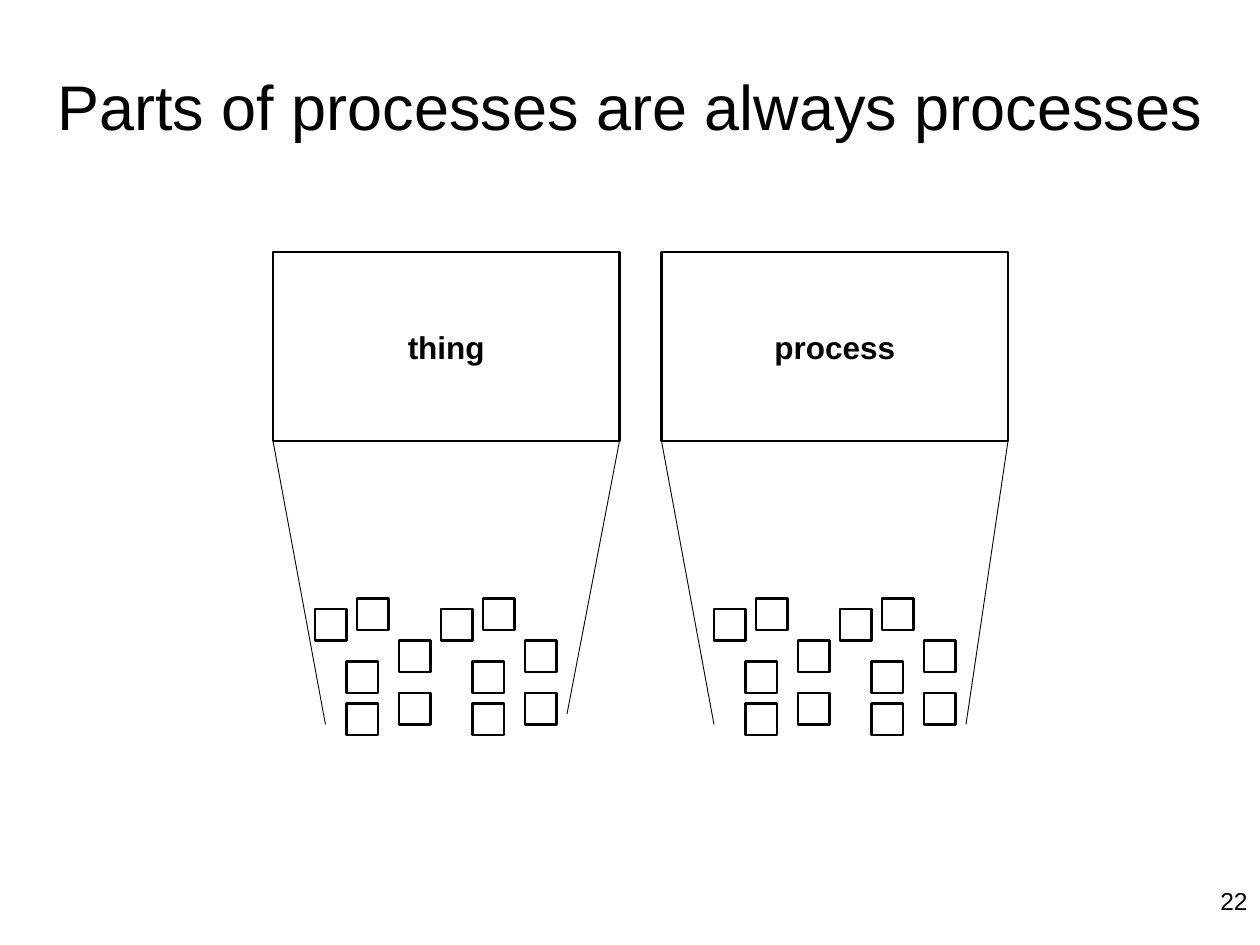
from lxml import etree
from pptx import Presentation
from pptx.dml.color import RGBColor
from pptx.enum.shapes import MSO_CONNECTOR, MSO_SHAPE
from pptx.enum.text import MSO_ANCHOR, PP_ALIGN
from pptx.oxml.ns import qn
from pptx.util import Pt

PX = 9525
BLACK, WHITE = "000000", "FFFFFF"
FONT = "Arial"
RECTANGLE, STRAIGHT = MSO_SHAPE.RECTANGLE, MSO_CONNECTOR.STRAIGHT
CENTER, RIGHT = PP_ALIGN.CENTER, PP_ALIGN.RIGHT
MIDDLE, TOP = MSO_ANCHOR.MIDDLE, MSO_ANCHOR.TOP

WHOLE_WIDTH, WHOLE_HEIGHT = 264, 144
PART_SIZE, GROUP_STEP = 24, 96
PART_OFFSETS = [(0, 8), (32, 0), (64, 32), (24, 48), (64, 72), (24, 80)]


def color(value):
    """Turn a hex string into a colour."""
    return RGBColor.from_string(value)


def emu(*lengths):
    """Scale px lengths to EMU."""
    return [length * PX for length in lengths]


def write(shape, text, size, align, anchor, bold=False):
    """Set and format the text of a shape."""
    frame = shape.text_frame
    frame.text = text
    frame.vertical_anchor = anchor
    para = frame.paragraphs[0]
    para.alignment = align
    font = para.runs[0].font
    font.name, font.size, font.bold = FONT, Pt(size), bold
    font.color.rgb = color(BLACK)


def add_box(page, left, top, width, height):
    """Add a white rectangle with a black outline."""
    box = page.shapes.add_shape(RECTANGLE, *emu(left, top, width, height))
    box.shadow.inherit = False
    box.fill.solid()
    box.fill.fore_color.rgb = color(WHITE)
    box.line.color.rgb = color(BLACK)
    box.line.width = Pt(1.5)
    return box


def add_line(page, start, end):
    """Add a thin black line between two points."""
    line = page.shapes.add_connector(STRAIGHT, *emu(*start, *end))
    line.line.color.rgb = color(BLACK)
    line.line.width = Pt(0.5)
    etree.SubElement(line._element.spPr, qn("a:effectLst"))


def add_title(page, text):
    """Place the title across the top of the page."""
    title = page.shapes.title
    title.left, title.top, title.width, title.height = emu(0, 0, 960, 160)
    write(title, text, 36, CENTER, MIDDLE)


def add_page_number(page, text):
    """Place the page number in the bottom right corner."""
    box = page.shapes.add_textbox(*emu(736, 670, 224, 50))
    box.text_frame.word_wrap = True
    write(box, text, 14, RIGHT, TOP)


def add_decomposition(page, left, top, label, parts_left, line_ends):
    """Draw a whole, its scattered parts and the lines that lead to them."""
    whole = add_box(page, left, top, WHOLE_WIDTH, WHOLE_HEIGHT)
    whole.text_frame.word_wrap = False
    write(whole, label, 18, CENTER, MIDDLE, bold=True)
    for group in range(2):
        for x, y in PART_OFFSETS:
            part_left = left + parts_left + group * GROUP_STEP + x
            add_box(page, part_left, top + 264 + y, PART_SIZE, PART_SIZE)
    for corner, (x, y) in zip((0, WHOLE_WIDTH), line_ends):
        start = (left + corner, top + WHOLE_HEIGHT)
        add_line(page, start, (left + x, top + y))


def main():
    """Build the slide and save the deck."""
    deck = Presentation()
    deck.slide_width, deck.slide_height = emu(960, 720)
    page = deck.slides.add_slide(deck.slide_layouts[5])
    add_title(page, "Parts of processes are always processes")
    add_decomposition(page, 208, 192, "thing", 32, [(40, 360), (224, 352)])
    add_decomposition(page, 504, 192, "process", 40, [(40, 360), (232, 360)])
    add_page_number(page, "22")
    deck.save("out.pptx")


if __name__ == "__main__":
    main()
